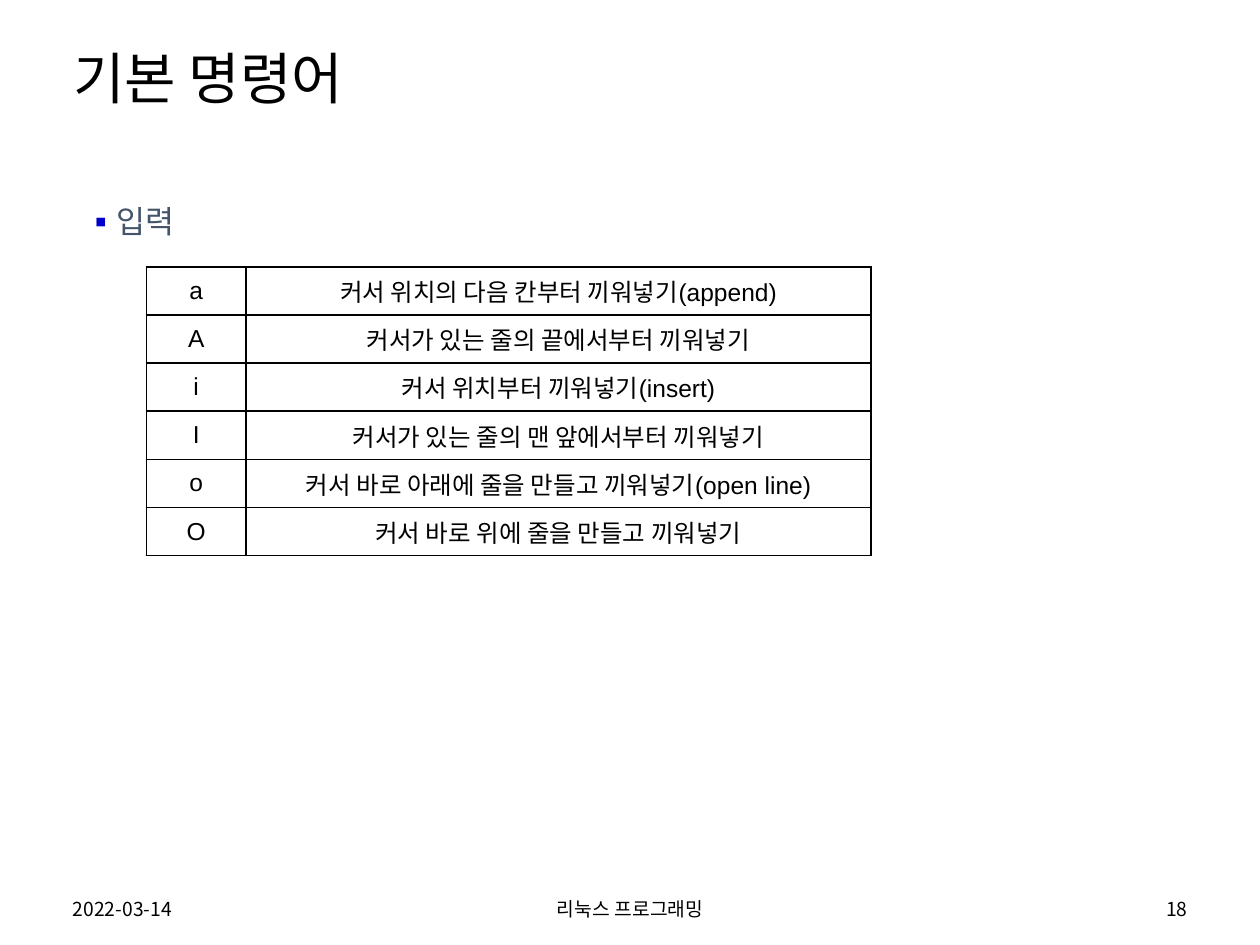
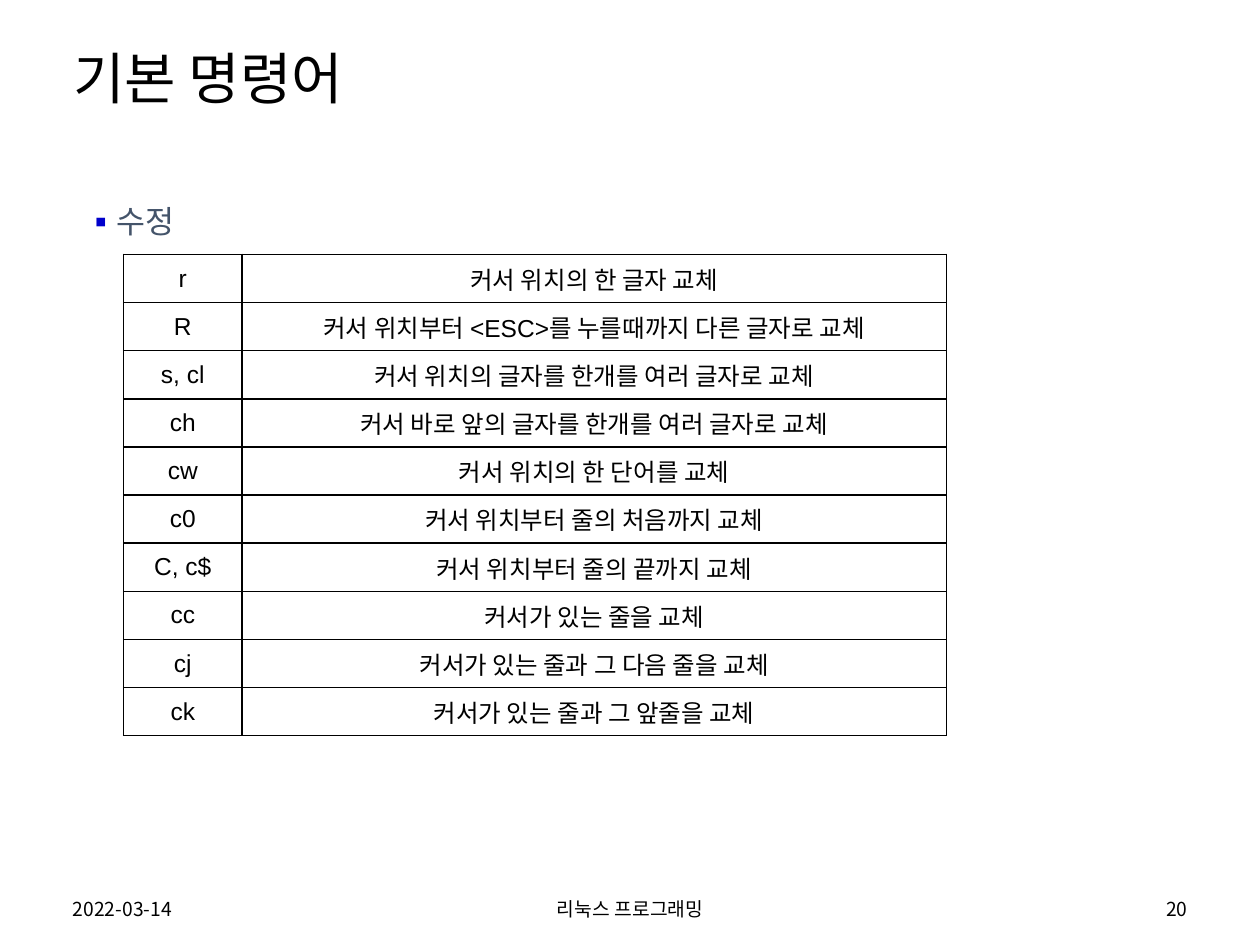
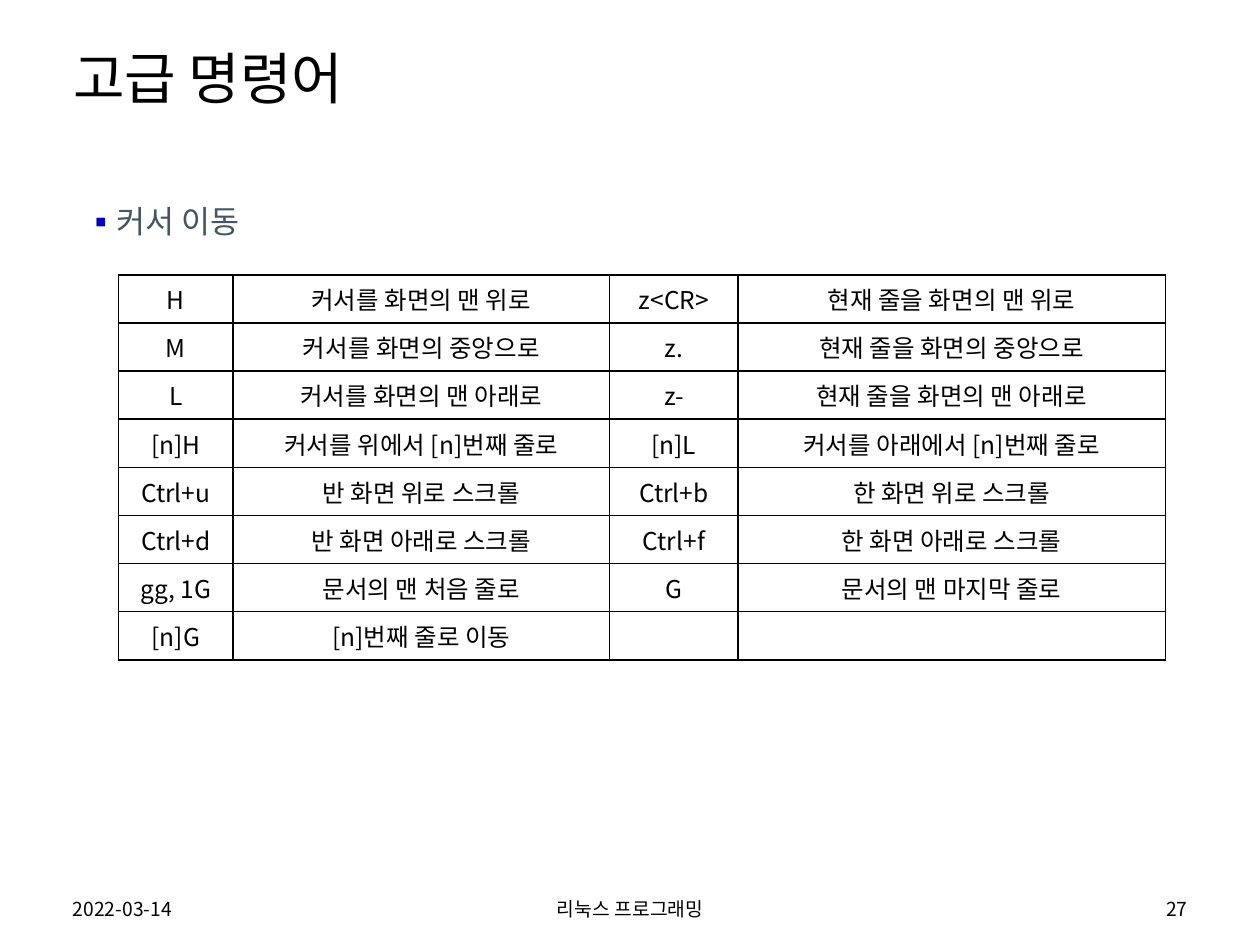
from lxml.etree import SubElement as Sub
from pptx import Presentation
from pptx.dml.color import RGBColor as Rgb
from pptx.enum.text import MSO_ANCHOR as Anchor, MSO_AUTO_SIZE as Fit, PP_ALIGN as Align
from pptx.oxml.ns import qn
from pptx.util import Cm, Pt

COLORS = {"text": "000000", "topic": "44546A", "bullet": "0000CC", "line": "000000"}
KOREAN, LATIN = "Noto Sans CJK KR", "Arial"
DATE, COURSE = "2022-03-14", "리눅스 프로그래밍"
ROW = 0.97

INPUT = [
    ("a", "커서 위치의 다음 칸부터 끼워넣기(append)"),
    ("A", "커서가 있는 줄의 끝에서부터 끼워넣기"),
    ("i", "커서 위치부터 끼워넣기(insert)"),
    ("I", "커서가 있는 줄의 맨 앞에서부터 끼워넣기"),
    ("o", "커서 바로 아래에 줄을 만들고 끼워넣기(open line)"),
    ("O", "커서 바로 위에 줄을 만들고 끼워넣기"),
]
CHANGE = [
    ("r", "커서 위치의 한 글자 교체"),
    ("R", "커서 위치부터 <ESC>를 누를때까지 다른 글자로 교체"),
    ("s, cl", "커서 위치의 글자를 한개를 여러 글자로 교체"),
    ("ch", "커서 바로 앞의 글자를 한개를 여러 글자로 교체"),
    ("cw", "커서 위치의 한 단어를 교체"),
    ("c0", "커서 위치부터 줄의 처음까지 교체"),
    ("C, c$", "커서 위치부터 줄의 끝까지 교체"),
    ("cc", "커서가 있는 줄을 교체"),
    ("cj", "커서가 있는 줄과 그 다음 줄을 교체"),
    ("ck", "커서가 있는 줄과 그 앞줄을 교체"),
]
MOVE = [
    ("H", "커서를 화면의 맨 위로", "z<CR>", "현재 줄을 화면의 맨 위로"),
    ("M", "커서를 화면의 중앙으로", "z.", "현재 줄을 화면의 중앙으로"),
    ("L", "커서를 화면의 맨 아래로", "z-", "현재 줄을 화면의 맨 아래로"),
    ("[n]H", "커서를 위에서 [n]번째 줄로", "[n]L", "커서를 아래에서 [n]번째 줄로"),
    ("Ctrl+u", "반 화면 위로 스크롤", "Ctrl+b", "한 화면 위로 스크롤"),
    ("Ctrl+d", "반 화면 아래로 스크롤", "Ctrl+f", "한 화면 아래로 스크롤"),
    ("gg, 1G", "문서의 맨 처음 줄로", "G", "문서의 맨 마지막 줄로"),
    ("[n]G", "[n]번째 줄로 이동", "", ""),
]


def place(shape, left, top, width, height):
    shape.left, shape.top = Cm(left), Cm(top)
    shape.width, shape.height = Cm(width), Cm(height)


class Deck:
    def __init__(self):
        self.prs = Presentation()
        self.prs.slide_width, self.prs.slide_height = Cm(25.4), Cm(19.05)
        self.slide = None

    def label(self, para, text, size, color="text", font=KOREAN, align=Align.LEFT):
        """Add one styled run to a paragraph."""
        para.alignment = align
        run = para.add_run()
        run.text = text
        run.font.size = Pt(size)
        run.font.name = font
        run.font.color.rgb = Rgb.from_string(COLORS[color])
        Sub(run._r.get_or_add_rPr(), qn("a:ea"), typeface=KOREAN)

    def start(self, title, number):
        """Add a slide with its title and footer."""
        self.slide = self.prs.slides.add_slide(self.prs.slide_layouts[1])
        head = self.slide.shapes.title
        place(head, 1.22, 0.58, 23.01, 2.11)
        frame = head.text_frame
        frame.vertical_anchor, frame.auto_size = Anchor.MIDDLE, Fit.NONE
        frame.paragraphs[0].line_spacing = 0.9
        self.label(frame.paragraphs[0], title, 32)
        self.foot(DATE, 1.22, 5.72, Align.LEFT)
        self.foot(COURSE, 8.41, 8.59, Align.CENTER)
        self.foot(str(number), 18.47, 5.72, Align.RIGHT)

    def foot(self, text, left, width, align):
        box = self.slide.shapes.add_textbox(Cm(left), Cm(17.96), Cm(width), Cm(0.71))
        frame = box.text_frame
        frame.word_wrap, frame.vertical_anchor = True, Anchor.MIDDLE
        self.label(frame.paragraphs[0], text, 11, align=align)

    def topic(self, text, width, font):
        body = self.slide.placeholders[1]
        place(body, 1.47, 3.94, width, 1.02)
        frame = body.text_frame
        frame.auto_size, frame.vertical_anchor = Fit.SHAPE_TO_FIT_TEXT, Anchor.TOP
        para = frame.paragraphs[0]
        para.space_before = Pt(0)
        self.label(para, text, 18, "topic", font)
        props = para._p.get_or_add_pPr()
        props.set("marL", str(Cm(0.48)))
        props.set("indent", str(-Cm(0.48)))
        Sub(Sub(props, qn("a:buClr")), qn("a:srgbClr"), val=COLORS["bullet"])
        Sub(props, qn("a:buFont"), typeface=KOREAN)
        Sub(props, qn("a:buChar"), char="▪")

    def table(self, rows, left, top, widths, font):
        grid = self.slide.shapes.add_table(
            len(rows), len(widths), Cm(left), Cm(top), Cm(sum(widths)), Cm(ROW * len(rows))
        ).table
        grid.first_row = grid.horz_banding = False
        for col, width in zip(grid.columns, widths):
            col.width = Cm(width)
        for row, texts in zip(grid.rows, rows):
            row.height = Cm(ROW)
            for cell, text in zip(row.cells, texts):
                self.fill(cell, text, font)

    def fill(self, cell, text, font):
        """Set the text and borders of one table cell."""
        cell.vertical_anchor = Anchor.MIDDLE
        para = cell.text_frame.paragraphs[0]
        if text:
            self.label(para, text, 14, font=font, align=Align.CENTER)
        else:
            Sub(para._p, qn("a:endParaRPr"), sz="1400")
        props = cell._tc.get_or_add_tcPr()
        for side in "LRTB":
            line = Sub(props, qn(f"a:ln{side}"), w=str(Pt(1)))
            Sub(Sub(line, qn("a:solidFill")), qn("a:srgbClr"), val=COLORS["line"])
        cell.fill.background()


def main():
    deck = Deck()
    deck.start("기본 명령어", 18)
    deck.table(INPUT, 2.95, 5.38, [2.01, 12.6], LATIN)
    deck.topic("입력", 2.62, KOREAN)

    deck.start("기본 명령어", 20)
    deck.table(CHANGE, 2.49, 5.13, [2.39, 14.2], LATIN)
    deck.topic("수정", 2.62, LATIN)

    deck.start("고급 명령어", 27)
    deck.table(MOVE, 2.39, 5.54, [2.31, 7.59, 2.59, 8.61], KOREAN)
    deck.topic("커서 이동", 5.03, KOREAN)
    deck.prs.save("out.pptx")


if __name__ == "__main__":
    main()
